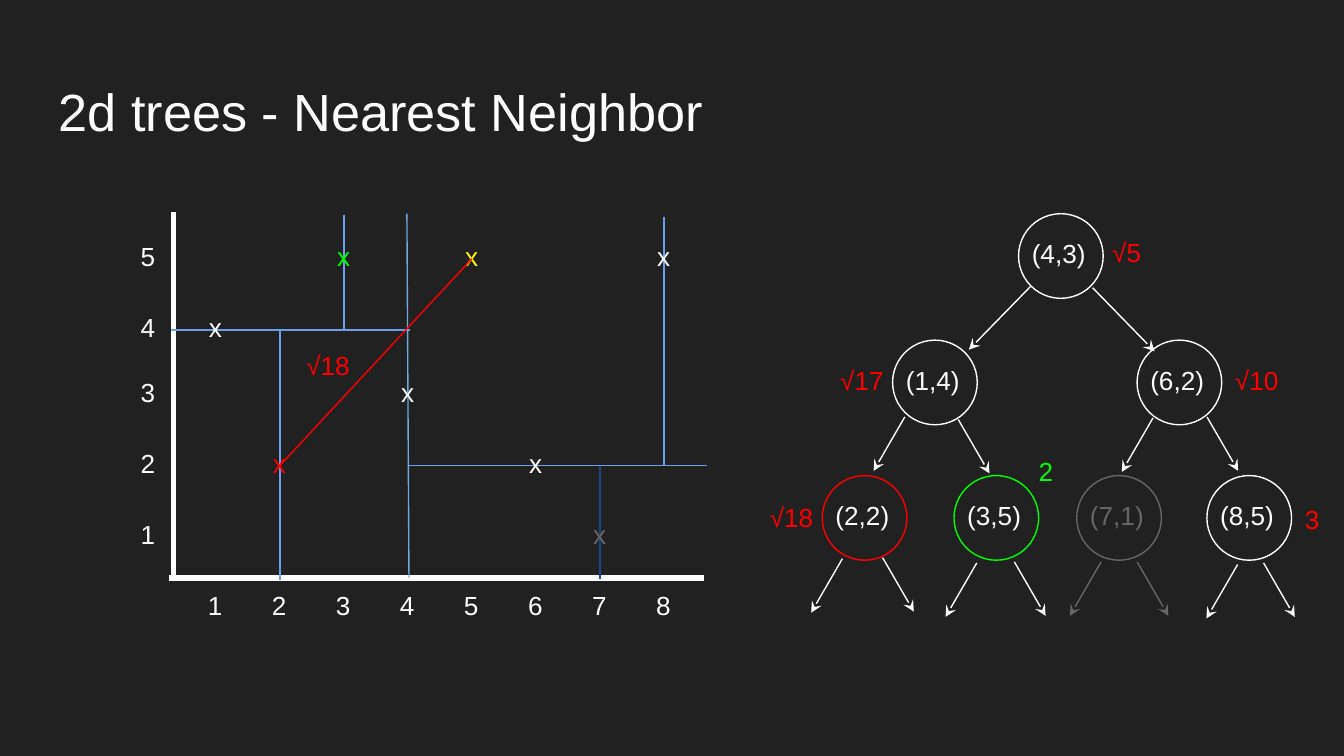
from collections import namedtuple

from lxml import etree
from pptx import Presentation
from pptx import util as u
from pptx.dml import color
from pptx.enum import shapes, text
from pptx.oxml import ns

HUES = {
    "dark": "212121", "white": "FFFFFF", "red": "FF0000", "green": "00FF00",
    "yellow": "FFFF00", "gray": "666666", "blue": "6D9EEB", "sky": "6FA8DC",
    "navy": "1C4587",
}
PAD = u.Cm(0.25)
FRAME = {
    "margin_left": PAD, "margin_right": PAD, "margin_top": PAD,
    "margin_bottom": PAD, "word_wrap": True,
    "vertical_anchor": text.MSO_ANCHOR.TOP,
}
Box = namedtuple("Box", "left top width height")
Node = namedtuple("Node", "name x y hue ink starts reach badge")


def rgb(hue):
    return color.RGBColor.from_string(HUES[hue])


def style(item, values):
    for key, value in values.items():
        setattr(item, key, value)


def write(slide, words, box, hue="white", size=14):
    frame = slide.shapes.add_textbox(*map(u.Cm, box)).text_frame
    style(frame, FRAME)
    run = frame.paragraphs[0].add_run()
    run.text = words
    style(run.font, {"name": "Arial", "size": u.Pt(size)})
    run.font.color.rgb = rgb(hue)


def draw(slide, start, end, hue, width=0.75, arrow=False):
    line = slide.shapes.add_connector(
        shapes.MSO_CONNECTOR.STRAIGHT, *map(u.Cm, (*start, *end)))
    line.line.color.rgb = rgb(hue)
    line.line.width = u.Pt(width)
    if arrow:
        etree.SubElement(line.line._get_or_add_ln(), ns.qn("a:tailEnd"),
                         type="stealth", w="med", len="med")
    etree.SubElement(line._element.spPr, ns.qn("a:effectLst"))


def add_plot(slide, box):
    """Draw the axes, splitting lines, points and the searched distance."""
    tops = {1: 5.54, 2: 4.19, 3: 2.85, 4: 1.63, 5: 0.28}
    rows = {n: top + 0.6 for n, top in tops.items()}
    cols = {n: 1.21 * n - 0.41 for n in range(1, 9)}
    base = box.height

    def line(x1, y1, x2, y2, hue, width=0.75):
        draw(slide, (box.left + x1, box.top + y1),
             (box.left + x2, box.top + y2), hue, width)

    def label(words, x, y, width, height, hue="white"):
        write(slide, words, (box.left + x, box.top + y, width, height), hue)

    line(0, 0, 0, base, "white", 3)
    line(-0.08, base, box.width, base, "white", 3)

    splits = [
        (cols[3], 0.05, cols[3], rows[4], "blue"),
        (-0.05, rows[4], cols[4] + 0.04, rows[4], "blue"),
        (cols[8], 0.1, cols[8], rows[2], "blue"),
        (cols[4] - 0.02, 0.03, cols[4] + 0.02, base, "sky"),
        (cols[4], rows[2], box.width + 0.05, rows[2], "blue"),
        (cols[2], rows[4], cols[2], base + 0.05, "blue"),
        (cols[7], rows[2], cols[7], base + 0.03, "navy"),
    ]
    for split in splits:
        line(*split)

    for n, x in cols.items():
        label(str(n), x - 0.4, 6.89, 0.79, 1.35)
    for n, top in tops.items():
        label(str(n), -0.87, top, 0.79, 1.35)

    points = [(2, 2, "red"), (4, 3, "white"), (8, 5, "white"),
              (7, 1, "gray"), (6, 2, "white"), (1, 4, "white"),
              (3, 5, "green"), (5, 5, "yellow")]
    for col, row, hue in points:
        label("x", cols[col] - 0.38, tops[row], 0.76, 1.02, hue)

    line(cols[5], rows[5], cols[2], rows[2], "red")
    label("√18", 2.26, 2.34, 1.88, 1.04, "red")


def add_node(slide, node, box):
    """Draw one node with its two child arrows and its distance."""
    ring = slide.shapes.add_shape(
        shapes.MSO_SHAPE.OVAL, *map(u.Cm, box))
    ring.shadow.inherit = False
    ring.fill.background()
    ring.line.color.rgb = rgb(node.hue)
    ring.line.width = u.Pt(0.75)
    write(slide, node.name, (box.left, box.top + 0.2, 1.75, 1.02), node.ink)

    across, down = node.reach
    for side, (x, y) in zip((-1, 1), node.starts):
        x, y = box.left + x, box.top + y
        draw(slide, (x, y), (x + side * across, y + down), node.ink, arrow=True)

    if node.badge:
        words, x, y, hue = node.badge
        write(slide, words, (box.left + x, box.top + y, 1.88, 1.04), hue)


def add_tree(slide, box):
    long, short = (1.17, 1.2), (0.59, 1.02)
    mid, low = 2.39, 4.95
    nodes = [
        Node("(4,3)", 4.95, 0, "white", "white", [(0.23, 1.37), (1.4, 1.4)],
             long, ("√5", 1.52, 0.18, "red")),
        Node("(1,4)", 2.57, mid, "white", "white", [(0.23, 1.45), (1.24, 1.5)],
             short, ("√17", -1.24, 0.2, "red")),
        Node("(6,2)", 7.19, mid, "white", "white", [(0.3, 1.47), (1.32, 1.45)],
             short, ("√10", 1.6, 0.2, "red")),
        Node("(2,2)", 1.24, low, "red", "white", [(0.38, 1.57), (1.14, 1.55)],
             short, ("√18", -1.24, 0.23, "red")),
        Node("(3,5)", 3.73, low, "green", "white", [(0.43, 1.65), (1.14, 1.63)],
             short, ("2", 1.35, -0.64, "green")),
        Node("(7,1)", 6.05, low, "gray", "gray", [(0.46, 1.63), (1.14, 1.63)],
             short, None),
        Node("(8,5)", 8.51, low, "white", "white", [(0.58, 1.68), (1.07, 1.65)],
             short, ("3", 1.6, 0.28, "red")),
    ]
    for node in nodes:
        add_node(slide, node,
                 Box(box.left + node.x, box.top + node.y, 1.6, 1.6))


def main():
    deck = Presentation()
    style(deck, {"slide_width": u.Cm(25.4), "slide_height": u.Cm(14.29)})
    slide = deck.slides.add_slide(deck.slide_layouts[6])
    fill = slide.background.fill
    fill.solid()
    fill.fore_color.rgb = rgb("dark")

    write(slide, "2d trees - Nearest Neighbor",
          Box(0.86, 1.24, 23.67, 1.6), size=28)
    add_plot(slide, Box(3.28, 4.01, 10.03, 6.91))
    add_tree(slide, Box(14.3, 4.04, 10.1, 7.7))
    deck.save("out.pptx")


if __name__ == "__main__":
    main()
